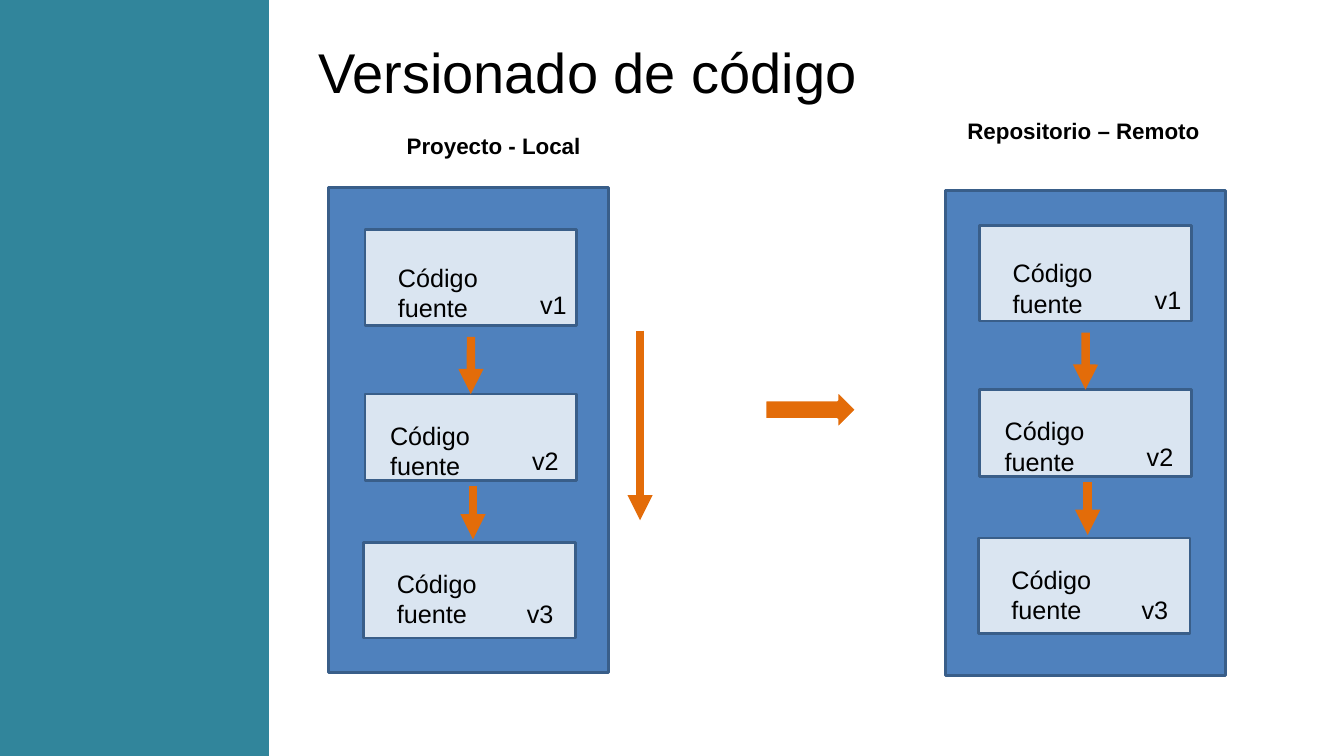
from pptx import Presentation
from pptx.dml.color import RGBColor
from pptx.enum.shapes import MSO_CONNECTOR, MSO_SHAPE
from pptx.oxml.ns import qn
from pptx.util import Cm, Pt
from lxml import etree

RECT = MSO_SHAPE.RECTANGLE
DOWN = MSO_SHAPE.DOWN_ARROW
LINE = MSO_CONNECTOR.STRAIGHT


class Theme:
    font = "Arial"
    title, head, body = Pt(40), Pt(16), Pt(18)
    edge, stroke = Pt(2), Pt(6)
    teal = RGBColor.from_string("31859B")
    blue = RGBColor.from_string("4F81BD")
    pale = RGBColor.from_string("DAE5F1")
    navy = RGBColor.from_string("395E89")
    orange = RGBColor.from_string("E36C09")
    white = RGBColor.from_string("FFFFFF")
    black = RGBColor.from_string("000000")


def add_box(shapes, kind, area, fill, edge=None):
    box = shapes.add_shape(kind, *map(Cm, area))
    box.shadow.inherit = False
    box.fill.solid()
    box.fill.fore_color.rgb = fill
    if edge is None:
        box.line.fill.background()
    else:
        box.line.color.rgb = edge
        box.line.width = Theme.edge
    return box


def add_text(shapes, area, text, size, bold=False):
    frame = shapes.add_textbox(*map(Cm, area)).text_frame
    frame.word_wrap = True
    para = frame.paragraphs[0]
    para.text = text
    para.font.name = Theme.font
    para.font.size = size
    para.font.bold = bold
    para.font.color.rgb = Theme.black


deck = Presentation()
deck.slide_width, deck.slide_height = Cm(33.87), Cm(19.05)
slide = deck.slides.add_slide(deck.slide_layouts[6])
shapes = slide.shapes
arrows = []

# Side band and title
add_box(shapes, RECT, (0, 0, 6.78, 19.05), Theme.teal)
add_text(shapes, (7.77, 0.81, 26.1, 1.96), "Versionado de código", Theme.title)

# Headings: text, left, top, width
heads = [
    ("Proyecto - Local", 10, 3.2, 4.95),
    ("Repositorio – Remoto", 24.13, 2.82, 6.43),
]
for text, x, y, w in heads:
    add_text(shapes, (x, y, w, 0.94), text, Theme.head, bold=True)

# Versions: box left, top, height; label left, top; tag left, top
steps = [
    (9.2, 5.79, 2.41, 9.78, 6.48, 13.36, 7.16),
    (9.2, 9.93, 2.18, 9.58, 10.46, 13.16, 11.1),
    (9.17, 13.67, 2.41, 9.75, 14.2, 13.03, 14.96),
]

# Panels: left, top, and shift of the versions inside
panels = [(8.28, 4.72, 0, 0), (23.83, 4.8, 15.49, -0.11)]
for left, top, dx, dy in panels:
    add_box(shapes, RECT, (left, top, 7.06, 12.22), Theme.blue, Theme.navy)
    group = shapes.add_group_shape().shapes
    boxes = []
    for num, (x, y, h, lx, ly, tx, ty) in enumerate(steps, 1):
        area = (x + dx, y + dy, 5.33, h)
        boxes.append(add_box(group, RECT, area, Theme.pale, Theme.navy))
        add_text(group, (lx + dx, ly + dy, 4.17, 1.02), "Código fuente", Theme.body)
        add_text(group, (tx + dx, ty + dy, 1.2, 1.02), f"v{num}", Theme.body)
    for x, start, end in [(11.87, 8.49, 9.93), (11.92, 12.25, 13.59)]:
        ends = (x + dx, start + dy, x + dx, end + dy)
        arrows.append(group.add_connector(LINE, *map(Cm, ends)))
    arrows[-2].end_connect(boxes[1], 0)

# Time arrow, then the style of all line arrows
arrows.append(shapes.add_connector(LINE, Cm(16.13), Cm(8.33), Cm(16.13), Cm(13.11)))
for arrow in arrows:
    arrow.line.color.rgb = Theme.orange
    arrow.line.width = Theme.stroke
    etree.SubElement(arrow.line._get_or_add_ln(), qn("a:tailEnd"), type="triangle")
    etree.SubElement(arrow._element.spPr, qn("a:effectLst"))

# Block arrow from local to remote
push = add_box(shapes, DOWN, (19.94, 9.17, 0.99, 2.31), Theme.orange, Theme.white)
push.rotation = 270

deck.save("out.pptx")
